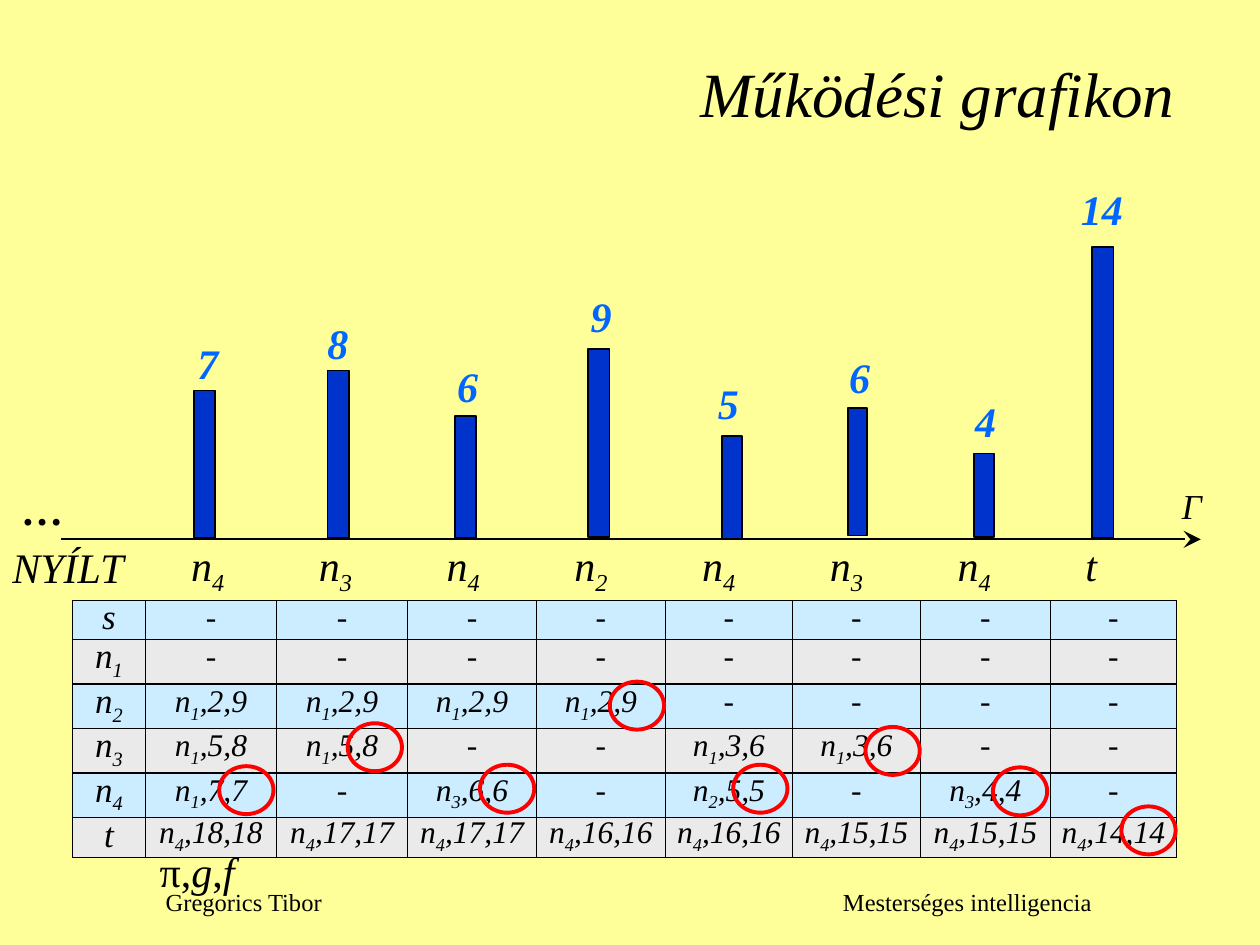
"""Build the slide with the operation graph of a graph search."""
from dataclasses import dataclass

from lxml import etree
from pptx import Presentation
from pptx.dml.color import RGBColor
from pptx.enum import shapes, text
from pptx.oxml import ns
from pptx.util import Pt


@dataclass(frozen=True)
class Theme:
    """Hold the colours and type sizes of the slide."""
    font: str = "Times New Roman"
    page: str = "FFFF99"
    ink: str = "000000"
    bar: str = "0033CC"
    value: str = "0066FF"
    ring: str = "FF0000"
    odd_row: str = "CCECFF"
    even_row: str = "EAEAEA"
    title: int = 36
    label: int = 24
    head: int = 20
    cell: int = 18
    footer: int = 14


THEME = Theme()
LEFT, RIGHT, CENTER = text.PP_ALIGN.LEFT, text.PP_ALIGN.RIGHT, text.PP_ALIGN.CENTER
TOP, MIDDLE = text.MSO_ANCHOR.TOP, text.MSO_ANCHOR.MIDDLE

# bar (left, top, width, height), value, value place, ring place
STEPS = [
    ((110.9, 223.2, 12.2, 84.2), "7", (105.8, 189.4), (125.3, 437.8)),
    ((187.2, 211.7, 12.2, 95.8), "8", (180, 177.8), (198.7, 413.3)),
    ((259.9, 237.6, 12.2, 69.8), "6", (254.2, 202.3), (274.3, 437)),
    ((336.2, 199.4, 12.2, 107.3), "9", (330.5, 162.7), (348.5, 389.5)),
    ((412.6, 249.1, 11.5, 59), "5", (403.2, 212.4), (419, 437)),
    ((484.6, 233.3, 10.8, 72.7), "6", (478.1, 197.3), (494.6, 415.4)),
    ((556.6, 259.2, 11.5, 47.5), "4", (550.1, 222.5), (567.4, 438.5)),
    ((624.2, 141.1, 12.2, 166.3), "14", (610.6, 101.5), (640.8, 460.8)),
]
EXPANDED = ["n_4", "n_3", "n_4", "n_2", "n_4", "n_3", "n_4", "t"]
STEP_GAP = 73
COLUMNS = [41.7, 74.9, 74.9, 73.7, 73.7, 72.6, 73.1, 74.3, 72]
HEIGHTS = [22.3] + [25.4] * 4 + [22.9]
BORDER_ROOM = 1.2
ROWS = [
    ["s"] + ["-"] * 8,
    ["n_1"] + ["-"] * 8,
    ["n_2"] + ["n_1,2,9"] * 4 + ["-"] * 4,
    ["n_3", "n_1,5,8", "n_1,5,8", "-", "-", "n_1,3,6", "n_1,3,6", "-", "-"],
    ["n_4", "n_1,7,7", "-", "n_3,6,6", "-", "n_2,5,5", "-", "n_3,4,4", "-"],
    ["t"] + [f"n_4,{cost},{cost}" for cost in (18, 17, 17, 16, 16, 15, 15, 14)],
]


def rgb(value):
    """Turn a hex string into a colour."""
    return RGBColor.from_string(value)


def apply(target, formats):
    """Set every attribute named in formats on target."""
    for name, value in formats.items():
        setattr(target, name, value)


def add_span(para, words, size, color=THEME.ink, lowered=False, **formats):
    """Append one formatted run to a paragraph."""
    span = para.add_run()
    span.text = words
    apply(span.font, {"name": THEME.font, "size": Pt(size), **formats})
    span.font.color.rgb = rgb(color)
    if lowered:
        span._r.get_or_add_rPr().set("baseline", "-25000")


def add_formula(para, formula, size, **formats):
    """Write a formula in which an underscore lowers the next character."""
    first, *rest = formula.split("_")
    add_span(para, first, size, **formats)
    for part in rest:
        add_span(para, part[0], size, lowered=True, **formats)
        if part[1:]:
            add_span(para, part[1:], size, **formats)


def add_tabs(para, stops):
    """Give a paragraph left tab stops."""
    tabs = etree.SubElement(para._p.get_or_add_pPr(), ns.qn("a:tabLst"))
    for stop in stops:
        etree.SubElement(tabs, ns.qn("a:tab"), pos=str(Pt(stop)), algn="l")


def add_box(page, bounds, align=LEFT, anchor=TOP, wrap=False):
    """Add a text box and return its paragraph."""
    box = page.shapes.add_textbox(*map(Pt, bounds))
    apply(box.text_frame, {"word_wrap": wrap, "vertical_anchor": anchor})
    para = box.text_frame.paragraphs[0]
    para.alignment = align
    return para


def add_figure(page, kind, bounds, line, width, fill=None):
    """Add an outlined preset shape, filled on request."""
    figure = page.shapes.add_shape(kind, *map(Pt, bounds))
    figure.shadow.inherit = False
    if fill:
        figure.fill.solid()
        figure.fill.fore_color.rgb = rgb(fill)
    else:
        figure.fill.background()
    figure.line.color.rgb = rgb(line)
    figure.line.width = Pt(width)


def add_axis(page):
    """Add the time axis with its arrowhead."""
    axis = page.shapes.add_connector(
        shapes.MSO_CONNECTOR.STRAIGHT, Pt(686.2), Pt(308.2), Pt(34.6), Pt(308.2))
    axis.line.color.rgb = rgb(THEME.ink)
    axis.line.width = Pt(1)
    etree.SubElement(axis.line._get_or_add_ln(), ns.qn("a:headEnd"),
                     type="stealth", w="lg", len="lg")
    etree.SubElement(axis._element.spPr, ns.qn("a:effectLst"))


def add_borders(cell):
    """Draw a thin line on each side of a cell."""
    properties = cell._tc.get_or_add_tcPr()
    for side in ("lnL", "lnR", "lnT", "lnB"):
        line = etree.SubElement(properties, ns.qn(f"a:{side}"), w=str(Pt(1)))
        fill = etree.SubElement(line, ns.qn("a:solidFill"))
        etree.SubElement(fill, ns.qn("a:srgbClr"), val=THEME.ink)


def fill_cell(cell, formula, size, color, spacing):
    """Format one table cell and write its formula."""
    apply(cell, {"margin_left": Pt(5), "margin_right": Pt(5),
                 "margin_top": 0, "margin_bottom": 0})
    add_borders(cell)
    cell.fill.solid()
    cell.fill.fore_color.rgb = rgb(color)
    para = cell.text_frame.paragraphs[0]
    apply(para, {"alignment": CENTER, "line_spacing": spacing})
    add_formula(para, formula, size, italic=formula != "-")


def add_open_table(page):
    """Add the table of open nodes by step, its tallest lines held to the row height."""
    table = page.shapes.add_table(
        len(ROWS), len(COLUMNS), Pt(41.4), Pt(343.2),
        Pt(sum(COLUMNS)), Pt(sum(HEIGHTS))).table
    apply(table, {"first_row": False, "horz_banding": False})
    for column, width in zip(table.columns, COLUMNS):
        column.width = Pt(width)
    for i, (formulas, height) in enumerate(zip(ROWS, HEIGHTS)):
        table.rows[i].height = Pt(height)
        color = THEME.even_row if i % 2 else THEME.odd_row
        for j, formula in enumerate(formulas):
            size = THEME.cell if j else THEME.head
            tight = j == 0 or i == len(ROWS) - 1
            spacing = Pt(round(height - BORDER_ROOM, 1)) if tight else None
            fill_cell(table.cell(i, j), formula, size, color, spacing)


def add_steps(page):
    """Add the bars, the rings and the values of all steps."""
    for bar, _, _, _ in STEPS:
        add_figure(page, shapes.MSO_SHAPE.RECTANGLE, bar, THEME.ink, 1, THEME.bar)
    for _, _, _, ring in STEPS:
        add_figure(page, shapes.MSO_SHAPE.OVAL, (*ring, 31, 27.4), THEME.ring, 2.25)
    for _, value, place, _ in STEPS:
        para = add_box(page, (*place, 14.4 + 12.2 * len(value), 36))
        add_span(para, value, THEME.label, THEME.value, bold=True, italic=True)


def add_labels(page):
    """Add the title, the axis labels and the table legend."""
    para = add_box(page, (66.2, 27.4, 612, 87), RIGHT, wrap=True)
    add_span(para, "Működési grafikon", THEME.title, italic=True)
    para = add_box(page, (668.2, 272.9, 42.5, 31.7), anchor=MIDDLE, wrap=True)
    add_span(para, "Γ", THEME.head, italic=True)
    para = add_box(page, (102.2, 304.6, 617, 36), wrap=True)
    add_tabs(para, [STEP_GAP * i for i in range(1, len(EXPANDED))])
    add_formula(para, "\t".join(EXPANDED), THEME.label, italic=True)
    add_span(add_box(page, (5, 272.9, 38.9, 36)), "…", THEME.label, bold=True)
    add_span(add_box(page, (0, 306, 78.5, 36)), "NYÍLT", THEME.label, italic=True)
    para = add_box(page, (84.2, 479.5, 59.8, 36))
    for words, italic in (("π,", False), ("g", True), (",", False), ("f", True)):
        add_span(para, words, THEME.label, italic=italic)


def add_footer(page):
    """Add the author and the course name on one line."""
    para = add_box(page, (87.6, 497.5, 580, 36), anchor=MIDDLE, wrap=True)
    add_tabs(para, [387])
    add_span(para, "Gregorics Tibor\tMesterséges intelligencia", THEME.footer)


def main():
    """Build and save the deck."""
    deck = Presentation()
    apply(deck, {"slide_width": Pt(720), "slide_height": Pt(540)})
    page = deck.slides.add_slide(deck.slide_layouts[6])
    page.background.fill.solid()
    page.background.fill.fore_color.rgb = rgb(THEME.page)
    for add_part in (add_footer, add_open_table, add_axis, add_labels, add_steps):
        add_part(page)
    deck.save("out.pptx")


if __name__ == "__main__":
    main()
